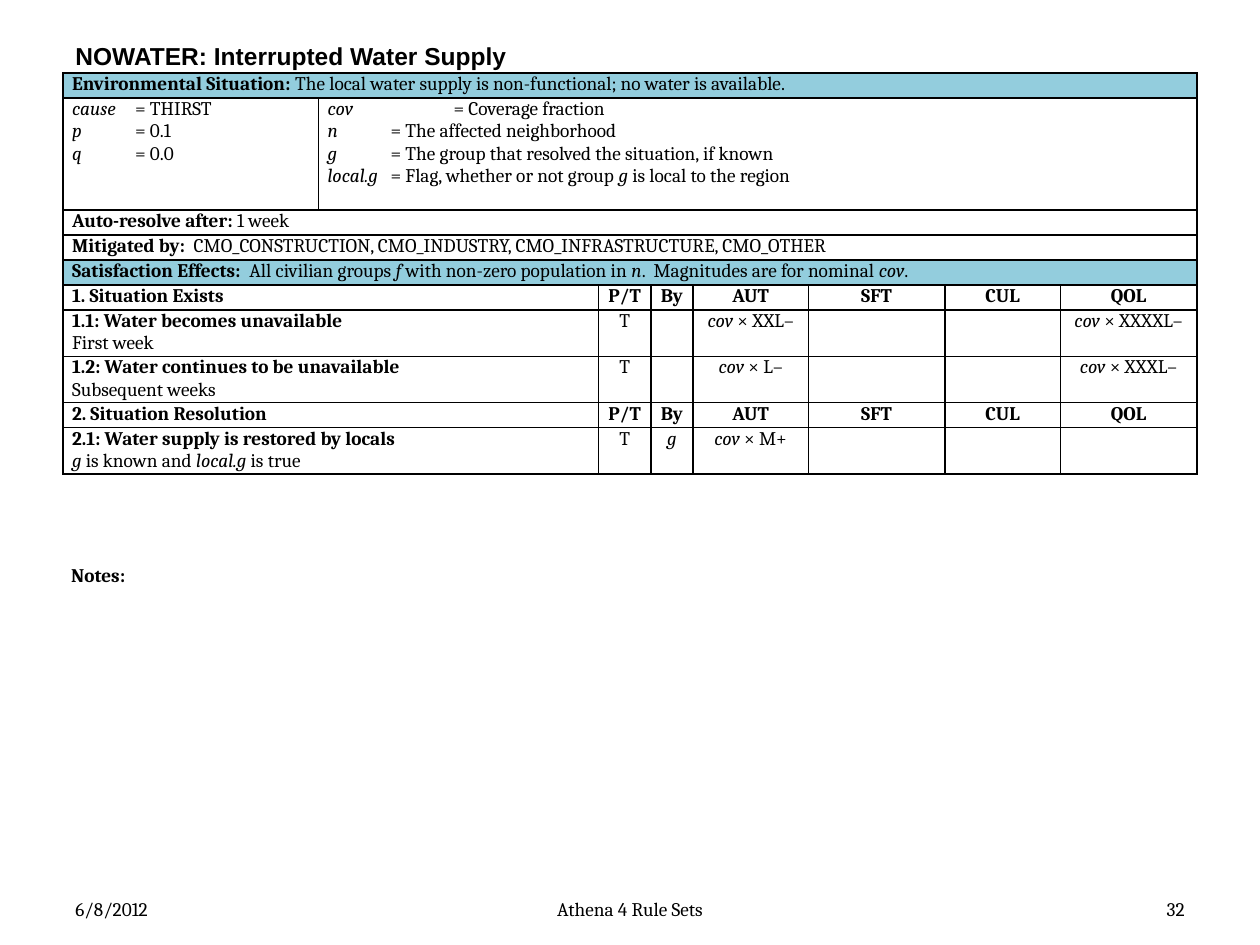
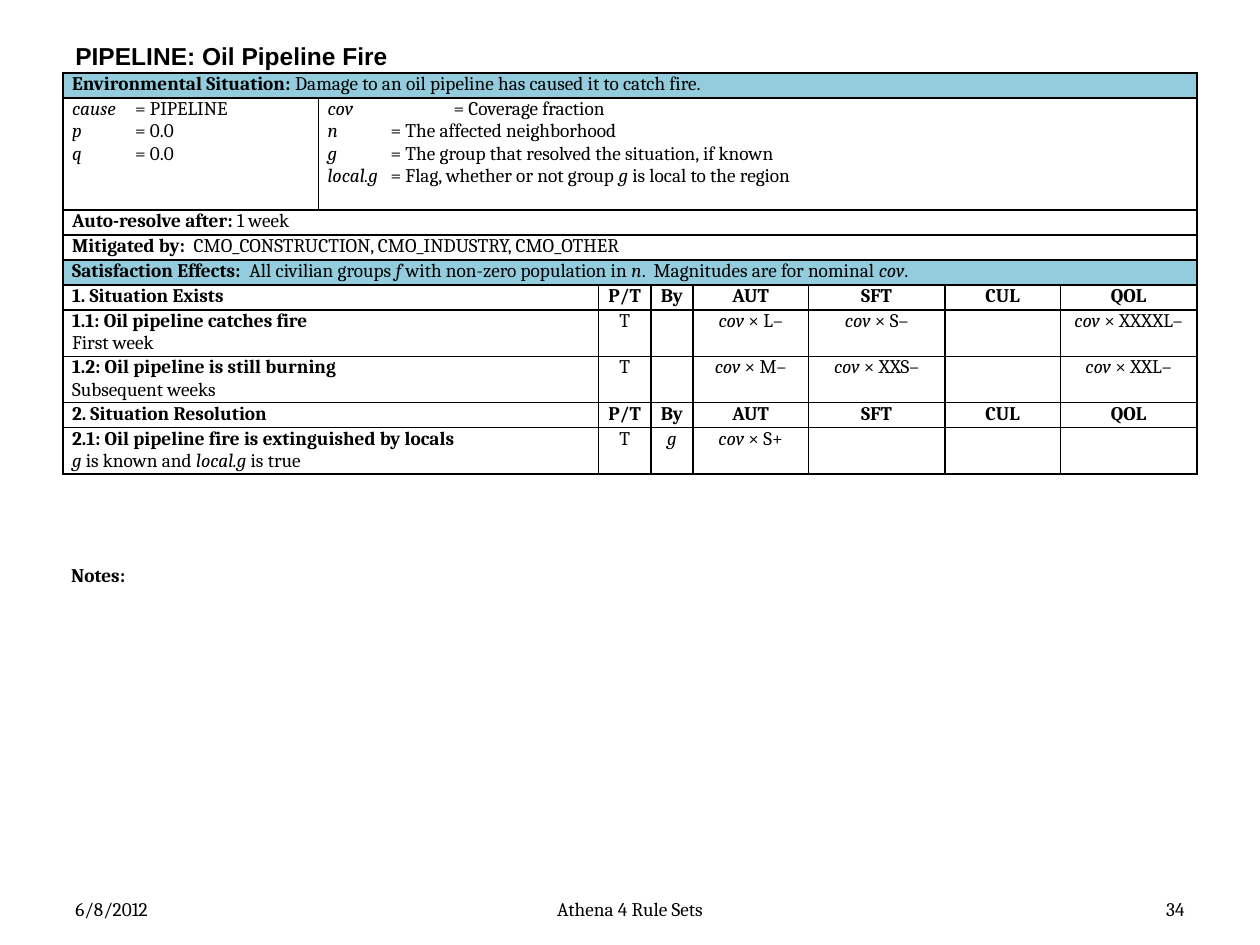
"""Build two rule set slides, each with a situation table, notes and footers."""
from lxml.etree import SubElement
from pptx import Presentation
from pptx.dml.color import RGBColor
from pptx.enum.text import MSO_ANCHOR, PP_ALIGN
from pptx.oxml.ns import qn
from pptx.util import Pt

BLACK, WHITE, BAND = "000000", "FFFFFF", "93CDDD"
LEFT, CENTER, RIGHT = PP_ALIGN.LEFT, PP_ALIGN.CENTER, PP_ALIGN.RIGHT
COLUMN_WIDTHS = [146, 160, 30, 24, 66, 78, 66, 78]
LINE_ROW, DEFINITION_ROW, RULE_ROW = 14.3, 64, 25.6
ROW_HEIGHTS = [LINE_ROW, DEFINITION_ROW] + [LINE_ROW] * 4 + [RULE_ROW] * 2 + [LINE_ROW, RULE_ROW]
BAND_ROWS = (0, 4)
HEADINGS = ["P/T", "By", "AUT", "SFT", "CUL", "QOL"]

SITUATIONS = [
    {
        "title": "NOWATER: Interrupted Water Supply",
        "page": "32",
        "summary": "The local water supply is non-functional; no water is available.",
        "parameters": {"cause": "THIRST", "p": "0.1", "q": "0.0"},
        "mitigation": "CMO_CONSTRUCTION, CMO_INDUSTRY, CMO_INFRASTRUCTURE, CMO_OTHER",
        "rules": ["1.1: Water becomes unavailable", "1.2: Water continues to be unavailable",
                  "2.1: Water supply is restored by locals"],
        "magnitudes": [["XXL–", "", "", "XXXXL–"], ["L–", "", "", "XXXL–"], ["M+", "", "", ""]],
    },
    {
        "title": "PIPELINE: Oil Pipeline Fire",
        "page": "34",
        "summary": "Damage to an oil pipeline has caused it to catch fire.",
        "parameters": {"cause": "PIPELINE", "p": "0.0", "q": "0.0"},
        "mitigation": "CMO_CONSTRUCTION, CMO_INDUSTRY, CMO_OTHER",
        "rules": ["1.1: Oil pipeline catches fire", "1.2: Oil pipeline is still burning",
                  "2.1: Oil pipeline fire is extinguished by locals"],
        "magnitudes": [["L–", "S–", "", "XXXXL–"], ["M–", "XXS–", "", "XXL–"], ["S+", "", "", ""]],
    },
]

VARIABLES = [
    [("cov", "i"), ("\t= Coverage fraction", "")],
    [("n", "i"), ("\t= The affected neighborhood", "")],
    [("g", "i"), ("\t= The group that resolved the situation, if known", "")],
    [("local.g", "i"), ("\t= Flag, whether or not group ", ""), ("g", "i"),
     (" is local to the region", "")],
]
EFFECTS = [("Satisfaction Effects:  ", "b"), ("All civilian groups ", ""), ("f ", "i"),
           ("with non-zero population in ", ""), ("n", "i"),
           (".  Magnitudes are for nominal ", ""), ("cov", "i"), (".", "")]
CONDITIONS = [
    [("First week", "")],
    [("Subsequent weeks", "")],
    [("g", "i"), (" is known and ", ""), ("local.g", "i"), (" is true", "")],
]


def write(frame, lines, align=LEFT, size=11, font="Cambria", tabs=()):
    """Write lines of (text, style) spans, where style holds b for bold and i for italic."""
    for index, line in enumerate(lines):
        para = frame.paragraphs[0] if index == 0 else frame.add_paragraph()
        para.alignment = align
        if tabs:
            tab_list = SubElement(para._p.get_or_add_pPr(), qn("a:tabLst"))
            SubElement(tab_list, qn("a:tab"), pos=str(Pt(tabs[index])), algn="l")
        for text, style in line:
            span = para.add_run()
            span.text = text
            span.font.size = Pt(size)
            span.font.name = font
            span.font.bold = "b" in style
            span.font.italic = "i" in style
            span.font.color.rgb = RGBColor.from_string(BLACK)


def add_text(page, place, text, style="", anchor=MSO_ANCHOR.MIDDLE, **options):
    """Add a one-line text box at place (left, top, width, height)."""
    box = page.shapes.add_textbox(*[Pt(length) for length in place])
    box.text_frame.word_wrap = True
    box.text_frame.vertical_anchor = anchor
    write(box.text_frame, [[(text, style)]], **options)


deck = Presentation()
deck.slide_width, deck.slide_height = Pt(720), Pt(540)

for situation in SITUATIONS:
    page = deck.slides.add_slide(deck.slide_layouts[6])
    add_text(page, (36, 21.6, 648, 20), situation["title"], "b", size=14, font="Arial")
    add_text(page, (36, 510, 168, 19), "6/8/2012")
    add_text(page, (246, 510, 228, 19), "Athena 4 Rule Sets", align=CENTER)
    add_text(page, (516, 510, 168, 19), situation["page"], align=RIGHT)

    table = page.shapes.add_table(len(ROW_HEIGHTS), len(COLUMN_WIDTHS), Pt(36), Pt(41.8),
                                  Pt(sum(COLUMN_WIDTHS)), Pt(sum(ROW_HEIGHTS))).table
    table.first_row = table.horz_banding = False
    for column, width in zip(table.columns, COLUMN_WIDTHS):
        column.width = Pt(width)
    for row_index, (row, height) in enumerate(zip(table.rows, ROW_HEIGHTS)):
        row.height = Pt(height)
        for cell in row.cells:
            cell.margin_left = cell.margin_right = Pt(5.2)
            cell.margin_top = cell.margin_bottom = 0
            properties = cell._tc.get_or_add_tcPr()
            for side in ("lnL", "lnR", "lnT", "lnB"):
                border = SubElement(properties, qn("a:" + side), w=str(Pt(1)))
                border_fill = SubElement(border, qn("a:solidFill"))
                SubElement(border_fill, qn("a:srgbClr"), val=BLACK)
            cell.fill.solid()
            cell.fill.fore_color.rgb = RGBColor.from_string(BAND if row_index in BAND_ROWS else WHITE)
            cell.text_frame.paragraphs[0]._p.get_or_add_endParaRPr().set("sz", "1100")

    full_rows = {
        0: [("Environmental Situation:", "b"), (" " + situation["summary"], "")],
        2: [("Auto-resolve after:", "b"), (" 1 week", "")],
        3: [("Mitigated by:", "b"), ("  " + situation["mitigation"], "")],
        4: EFFECTS,
    }
    for row_index, line in full_rows.items():
        table.cell(row_index, 0).merge(table.cell(row_index, 7))
        write(table.cell(row_index, 0).text_frame, [line])

    parameters = [[(name, "i"), ("\t= " + value, "")]
                  for name, value in situation["parameters"].items()]
    write(table.cell(1, 0).text_frame, parameters, tabs=[36] * 3)
    table.cell(1, 1).merge(table.cell(1, 7))
    write(table.cell(1, 1).text_frame, VARIABLES, tabs=[72, 36, 36, 36])

    for row_index, heading in ((5, "1. Situation Exists"), (8, "2. Situation Resolution")):
        table.cell(row_index, 0).merge(table.cell(row_index, 1))
        write(table.cell(row_index, 0).text_frame, [[(heading, "b")]])
        for column_index, label in enumerate(HEADINGS, 2):
            write(table.cell(row_index, column_index).text_frame, [[(label, "b")]], CENTER)

    rule_rows = zip((6, 7, 9), situation["rules"], CONDITIONS, situation["magnitudes"])
    for row_index, rule, condition, magnitudes in rule_rows:
        table.cell(row_index, 0).merge(table.cell(row_index, 1))
        write(table.cell(row_index, 0).text_frame, [[(rule, "b")], condition])
        write(table.cell(row_index, 2).text_frame, [[("T", "")]], CENTER)
        for column_index, magnitude in enumerate(magnitudes, 4):
            if magnitude:
                effect = [("cov", "i"), (" × " + magnitude, "")]
                write(table.cell(row_index, column_index).text_frame, [effect], CENTER)
    write(table.cell(9, 3).text_frame, [[("g", "i")]], CENTER)

    add_text(page, (33.6, 318.2, 654, 21), "Notes:", "b", MSO_ANCHOR.TOP)

deck.save("out.pptx")
